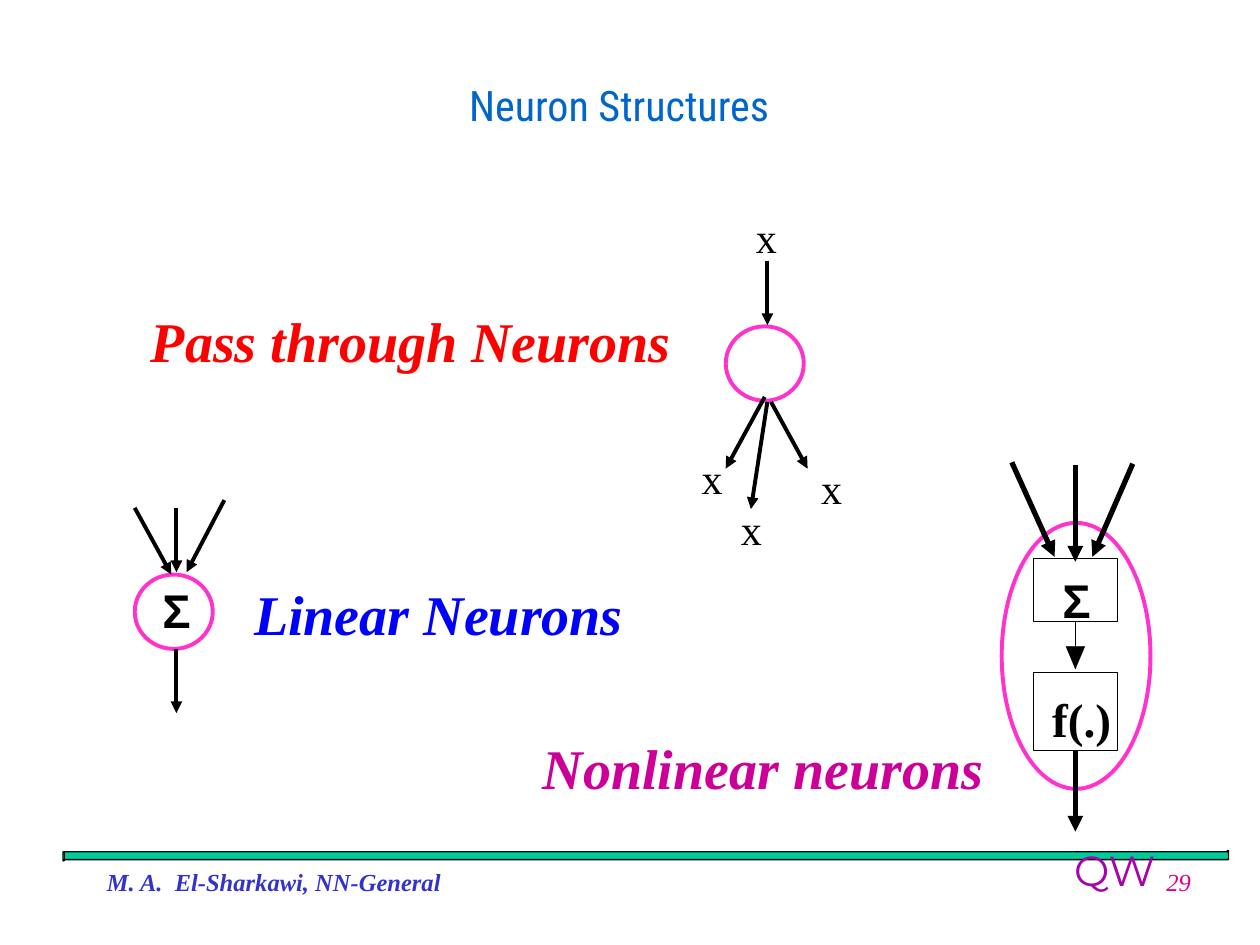
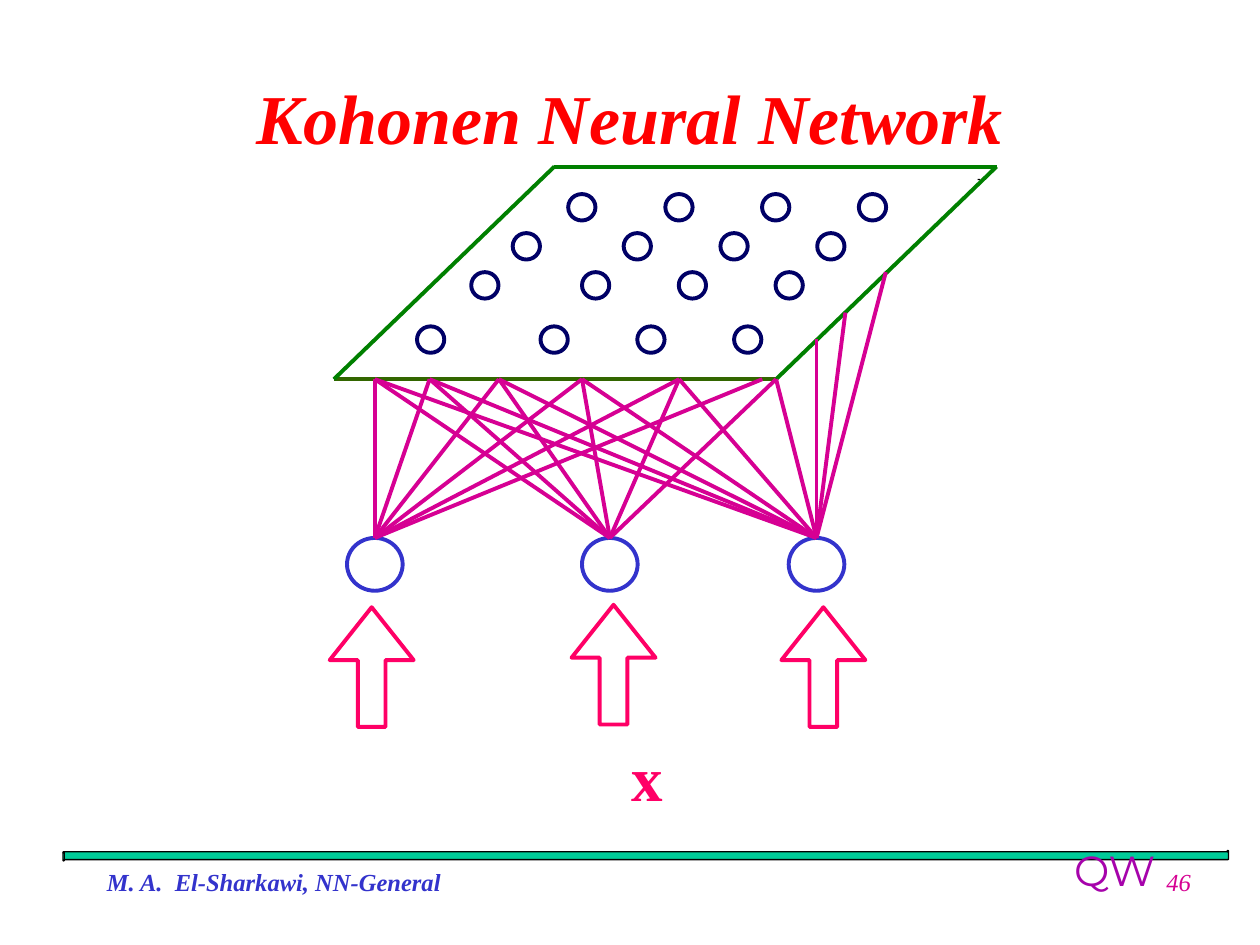
"""Build two slides on neuron structures and the Kohonen network."""
import dataclasses
import typing

import lxml.etree
import pptx
import pptx.dml.color
import pptx.enum.shapes
import pptx.enum.text
import pptx.oxml.ns
import pptx.util

Pt = pptx.util.Pt
SHAPE = pptx.enum.shapes.MSO_SHAPE
ALIGN = pptx.enum.text.PP_ALIGN
SERIF, SANS = "Times New Roman", "Arial"
BLACK, RED, BLUE, PURPLE = "000000", "FF0000", "0000FF", "CC0099"
PINK, INDIGO, NAVY, MAGENTA = "FF33CC", "3333CC", "000066", "D60093"
GREEN, OLIVE, ROSE, TEAL, VIOLET = "008000", "336600", "FF0066", "00CC99", "A603AB"
TITLE_BLUE = "0066CC"
HAIRLINE, MEDIUM, HEAVY = 0.11, 2.25, 3

Point = tuple[float, float]
Box = tuple[float, float, float, float]


@dataclasses.dataclass(frozen=True)
class Style:
    """Character format of a label."""
    size: float
    color: str
    name: str = SERIF
    bold: bool = False
    italic: bool = False


@dataclasses.dataclass(frozen=True)
class Label:
    """Text with its box and format."""
    text: str
    box: Box
    style: Style
    inset: bool = True
    wrap: bool = False
    align: typing.Any = ALIGN.LEFT


@dataclasses.dataclass(frozen=True)
class Line:
    """Straight line, with or without an arrowhead."""
    start: Point
    end: Point
    color: str = BLACK
    width: float = MEDIUM
    arrow: bool = True


@dataclasses.dataclass(frozen=True)
class Outline:
    """Unfilled preset shape."""
    kind: typing.Any
    box: Box
    color: str
    width: float = MEDIUM


def rgb(color: str) -> pptx.dml.color.RGBColor:
    """Turn a hex string into a colour."""
    return pptx.dml.color.RGBColor.from_string(color)


def apply(target: typing.Any, values: dict[str, typing.Any]) -> None:
    """Set each named attribute on the target."""
    for key, value in values.items():
        setattr(target, key, value)


def paint(sp: typing.Any, fill: str | None, line: str | None, width: float = HAIRLINE) -> None:
    """Give a shape its fill and line and drop its shadow."""
    sp.shadow.inherit = False
    for part, color in ((sp.fill, fill), (sp.line.fill, line)):
        if color is None:
            part.background()
        else:
            part.solid()
            part.fore_color.rgb = rgb(color)
    if line is not None:
        sp.line.width = Pt(width)


def draw_label(s: typing.Any, label: Label) -> None:
    """Draw a text box."""
    tf = s.shapes.add_textbox(*map(Pt, label.box)).text_frame
    side, edge = (7.2, 3.6) if label.inset else (0, 0)
    apply(tf, {"margin_left": Pt(side), "margin_right": Pt(side), "margin_top": Pt(edge),
               "margin_bottom": Pt(edge), "word_wrap": label.wrap})
    p = tf.paragraphs[0]
    p.alignment = label.align
    r = p.add_run()
    r.text = label.text
    style = label.style
    apply(r.font, {"size": Pt(style.size), "name": style.name,
                   "bold": style.bold, "italic": style.italic})
    r.font.color.rgb = rgb(style.color)


def draw_line(s: typing.Any, line: Line) -> typing.Any:
    """Draw a straight connector and return it."""
    qn = pptx.oxml.ns.qn
    kind = pptx.enum.shapes.MSO_CONNECTOR.STRAIGHT
    c = s.shapes.add_connector(kind, *map(Pt, line.start + line.end))
    c.line.color.rgb = rgb(line.color)
    c.line.width = Pt(line.width)
    if line.arrow:
        ln = c._element.spPr.find(qn("a:ln"))
        lxml.etree.SubElement(ln, qn("a:tailEnd"), type="triangle")
    lxml.etree.SubElement(c._element.spPr, qn("a:effectLst"))
    return c


def draw_outline(s: typing.Any, outline: Outline) -> typing.Any:
    """Draw an unfilled shape and return it."""
    sp = s.shapes.add_shape(outline.kind, *map(Pt, outline.box))
    paint(sp, None, outline.color, outline.width)
    return sp


def add_slide(prs: typing.Any, number: int) -> typing.Any:
    """Add a slide with the shared band and footer."""
    s = prs.slides.add_slide(prs.slide_layouts[6])
    band = s.shapes.add_shape(SHAPE.HORIZONTAL_SCROLL, *map(Pt, (36, 486, 666, 6)))
    band.adjustments[0] = 0.125
    paint(band, TEAL, BLACK, 0.75)
    for label in (
        Label("QW", (597, 478.8, 80, 36), Style(24, VIOLET, "Montserrat"), align=ALIGN.CENTER),
        Label("M. A.  El-Sharkawi, NN-General", (54, 492, 420, 36),
              Style(14, INDIGO, bold=True, italic=True), wrap=True),
        Label(str(number), (516, 492, 171.6, 36), Style(14, MAGENTA, italic=True),
              wrap=True, align=ALIGN.RIGHT),
    ):
        draw_label(s, label)
    return s


def heading(text: str, box: Box, color: str, size: float = 32) -> Label:
    """Describe a bold italic heading."""
    return Label(text, box, Style(size, color, bold=True, italic=True))


def draw_nonlinear_neuron(s: typing.Any) -> None:
    """Draw the neuron that sums and then applies a function."""
    axis = 614.5
    draw_outline(s, Outline(SHAPE.OVAL, (572.4, 298.8, 85, 152), PINK))
    total, function = (
        draw_outline(s, Outline(SHAPE.RECTANGLE, (axis - 24, top, 48, height), BLACK, HAIRLINE))
        for top, height in ((319, 36), (384, 44.5)))
    for start, end in (((578.2, 264.2), (602.6, 318.2)), ((axis, 265.7), (axis, 321)),
                       ((647.3, 265), (624.2, 318.2))):
        draw_line(s, Line(start, end, width=HEAVY))
    link = draw_line(s, Line((axis, 355), (axis, 382.3), width=HAIRLINE, arrow=False))
    link.begin_connect(total, 2)
    output = draw_line(s, Line((axis, 428.5), (axis, 475.2), width=HEAVY))
    output.begin_connect(function, 2)
    builder = s.shapes.build_freeform(Pt(axis + 5.4), Pt(369.4))
    builder.add_line_segments([(Pt(axis), Pt(382.3)), (Pt(axis - 5.4), Pt(369.4))])
    paint(builder.convert_to_shape(), BLACK, BLACK)
    draw_label(s, Label("Σ", (607, 326.2, 15.8, 32.4), Style(27, BLACK, SANS, True), False))
    draw_label(s, Label("f(.)", (601.2, 394.6, 33.8, 32.4), Style(27, BLACK, bold=True), False))


def build_structures(prs: typing.Any) -> None:
    """Build the slide on three kinds of neuron."""
    s = add_slide(prs, 29)
    for left, top in ((77, 328.3), (414.7, 186.5)):
        draw_outline(s, Outline(SHAPE.OVAL, (left, top, 44.6, 42.5), PINK))
    linear = (((77, 290.2), (97.9, 328.3)), ((100.8, 290.2), (100.8, 327)),
              ((128.2, 285.8), (106.6, 327)), ((100.8, 370.8), (100.8, 407.5)))
    through = (((438.5, 149), (438.5, 185.8)), ((437, 226.8), (414.7, 267.8)),
               ((438.5, 229.7), (429.1, 290.9)), ((440.6, 229.7), (461.5, 267.8)))
    for start, end in linear + through:
        draw_line(s, Line(start, end))
    signals = [Label("x", (left, top, 26, 36), Style(24, BLACK)) for left, top in
               ((424.8, 117.4), (393.8, 254.9), (416.2, 284.4), (462.2, 260.6))]
    for label in (
        Label("Neuron Structures", (84.2, 41.8, 539.3, 57.6),
              Style(24, TITLE_BLUE, "Roboto Condensed"), align=ALIGN.CENTER),
        heading("Pass through Neurons", (79.2, 171.4, 311.8, 46), RED),
        heading("Linear Neurons", (138.2, 327.6, 225.4, 46), BLUE),
        heading("Nonlinear neurons", (303.1, 415.4, 266.4, 46), PURPLE),
        Label("Σ", (85.7, 328.3, 30.2, 39.6), Style(27, BLACK, SANS, True)),
        *signals,
    ):
        draw_label(s, label)
    draw_nonlinear_neuron(s)


def build_kohonen(prs: typing.Any) -> None:
    """Build the slide on the Kohonen network."""
    s = add_slide(prs, 46)
    back_left, back_right = (316.8, 95.2), (569.5, 95.2)
    front_left, front_right = (190.8, 216.7), (443.5, 216.7)
    dot = s.shapes.add_shape(SHAPE.RECTANGLE, *map(Pt, (558.7, 102.2, 1.4, 0.7)))
    paint(dot, BLACK, None)
    for start, end, color in ((back_left, back_right, GREEN), (back_right, front_right, GREEN),
                              (front_right, front_left, OLIVE), (back_left, front_left, GREEN)):
        draw_line(s, Line(start, end, color, arrow=False))

    front = [(x, front_left[1]) for x in (214.2, 245.5, 285.1, 332.6, 388.1)]
    side = [(466.6, 193.7), (483.1, 178.6), (506.2, 155.5)]
    targets = {214.2: front + [(435.6, front_left[1])],
               348.5: front + [front_right],
               466.6: front + [front_right] + side}
    for x, points in targets.items():
        draw_outline(s, Outline(SHAPE.OVAL, (x - 15.9, 307.4, 31.8, 30.2), INDIGO))
        for point in points:
            draw_line(s, Line((x, 307.4), point, MAGENTA, arrow=False))

    pitch = 55.3
    for top, first, second in ((110.9, 324.7, 380.2), (133.2, 293, 356.4),
                               (155.5, 269.3, 332.6), (186.5, 238.3, 308.9)):
        for left in (first, *(second + pitch * i for i in range(3))):
            draw_outline(s, Outline(SHAPE.OVAL, (left, top, 15.6, 15.1), NAVY))

    for tip_x, tip_y in ((212.4, 347), (350.6, 345.6), (470.5, 347)):
        arrow = draw_outline(s, Outline(SHAPE.UP_ARROW, (tip_x - 24, tip_y, 48, 68.4), ROSE))
        arrow.adjustments[0] = 0.33
        arrow.adjustments[1] = 0.63
    draw_label(s, Label("x", (353.5, 418.3, 32.4, 50.4), Style(36, ROSE, bold=True)))
    draw_label(s, heading("Kohonen Neural Network", (139.7, 38.9, 440.6, 55.4), RED, 40))


def main() -> None:
    """Build the slides and save them."""
    prs = pptx.Presentation()
    apply(prs, {"slide_width": Pt(720), "slide_height": Pt(540)})
    build_structures(prs)
    build_kohonen(prs)
    prs.save("out.pptx")


if __name__ == "__main__":
    main()
